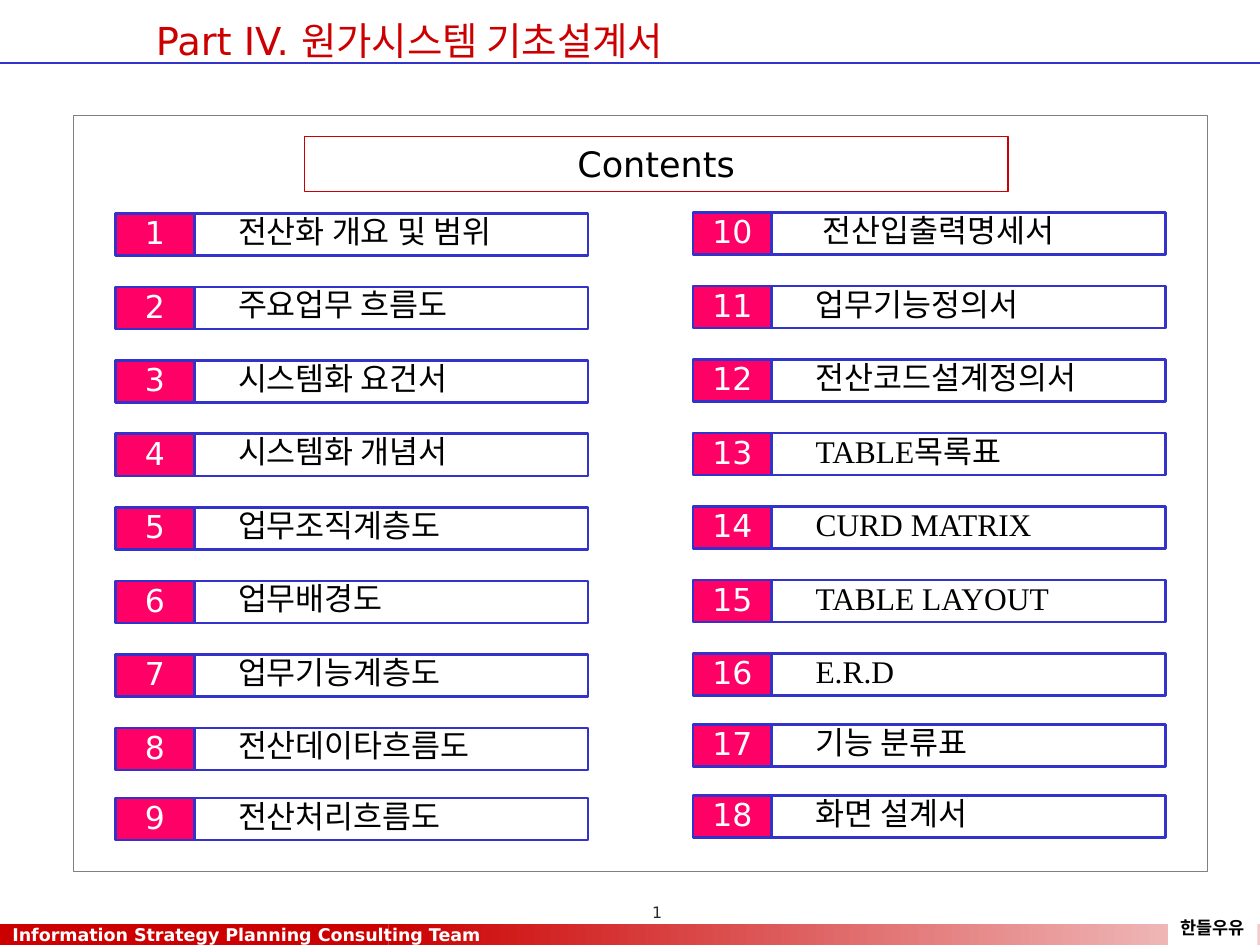
from lxml import etree
from pptx import Presentation
from pptx import util as u
from pptx.dml.color import RGBColor
from pptx.enum import shapes, text
from pptx.oxml import ns

RED = RGBColor(0xCC, 0x00, 0x00)
ROSE = RGBColor(0xF3, 0xCB, 0xCB)
PINK = RGBColor(0xFF, 0x00, 0x66)
BLUE = RGBColor(0x33, 0x33, 0xCC)
GREY = RGBColor(0x80, 0x80, 0x80)
DARK = RGBColor(0x29, 0x29, 0x29)
BLACK = RGBColor(0x00, 0x00, 0x00)
WHITE = RGBColor(0xFF, 0xFF, 0xFF)

SANS = "DejaVu Sans"
SERIF = "Times New Roman"
HANGUL = "Noto Sans CJK KR"
RECT = shapes.MSO_SHAPE.RECTANGLE
ROUND = shapes.MSO_SHAPE.ROUNDED_RECTANGLE
LEFT, MID = text.PP_ALIGN.LEFT, text.PP_ALIGN.CENTER
TOP, CENTER = text.MSO_ANCHOR.TOP, text.MSO_ANCHOR.MIDDLE
GROW = text.MSO_AUTO_SIZE.SHAPE_TO_FIT_TEXT

STEP = 42
LISTS = (
    (66, [121.9 + STEP * i for i in range(8)] + [456],
     ("전산화 개요 및 범위", "주요업무 흐름도", "시스템화 요건서", "시스템화 개념서",
      "업무조직계층도", "업무배경도", "업무기능계층도", "전산데이타흐름도", "전산처리흐름도")),
    (396, [121.5 + STEP * i for i in range(7)] + [414, 454.5],
     (" 전산입출력명세서", "업무기능정의서", "전산코드설계정의서", "TABLE목록표",
      "CURD MATRIX", "TABLE LAYOUT", "E.R.D", "기능 분류표", "화면 설계서")),
)


class Deck:
    """Holds the text style and the slide being filled."""

    def __init__(self, show):
        self.slide = show.slides.add_slide(show.slide_layouts[5])
        self.font = {"name": SANS, "size": u.Pt(18), "bold": False}
        self.frame = {"margin_left": u.Pt(7.2), "margin_right": u.Pt(7.2),
                      "margin_top": u.Pt(3.6), "margin_bottom": u.Pt(3.6),
                      "vertical_anchor": CENTER, "word_wrap": False}

    def put(self, shape, words, color, align=LEFT, space=1.0, font=None, frame=None):
        body = shape.text_frame
        for key, val in {**self.frame, **(frame or {})}.items():
            setattr(body, key, val)
        para = body.paragraphs[0]
        para.alignment, para.line_spacing = align, space
        run = para.add_run()
        run.text = words
        for key, val in {**self.font, **(font or {})}.items():
            setattr(run.font, key, val)
        run.font.color.rgb = color
        east = etree.SubElement(run.font._element, ns.qn("a:ea"))
        east.set("typeface", HANGUL)

    def title(self, box, words, color, **style):
        shape = self.slide.shapes.title
        for key, val in zip(("left", "top", "width", "height"), box):
            setattr(shape, key, u.Pt(val))
        self.put(shape, words, color, **style)

    def box(self, box, fill=None, line=None, width=0.75, kind=RECT):
        shape = self.slide.shapes.add_shape(kind, *map(u.Pt, box))
        shape.shadow.inherit = False
        if kind == ROUND:
            shape.adjustments[0] = 0
        if fill is None:
            shape.fill.background()
        else:
            shape.fill.solid()
            shape.fill.fore_color.rgb = fill
        if line is None:
            shape.line.fill.background()
        else:
            shape.line.color.rgb = line
            shape.line.width = u.Pt(width)
        return shape

    def fade(self, box, *colors):
        fill = self.box(box).fill
        fill.gradient()
        fill.gradient_angle = 0
        for stop, color, place in zip(fill.gradient_stops, colors, (0, 1)):
            stop.color.rgb = color
            stop.position = place

    def rule(self, ends, color):
        line = self.slide.shapes.add_connector(
            shapes.MSO_CONNECTOR.STRAIGHT, *map(u.Pt, ends))
        line.line.color.rgb = color
        line.line.width = u.Pt(0.75)
        etree.SubElement(line._element.spPr, ns.qn("a:effectLst"))

    def label(self, box, words, color, **style):
        shape = self.slide.shapes.add_textbox(*map(u.Pt, box))
        self.put(shape, words, color, **style)

    def item(self, left, top, num, words):
        name = self.box((left + 42, top, 228, 24), WHITE, BLUE, 1.5, ROUND)
        face = HANGUL if num == 5 else SERIF
        self.put(name, words, BLACK, space=0.8, font={"name": face},
                 frame={"margin_left": u.Pt(28)})
        tag = self.box((left, top, 45, 24), PINK, BLUE, 1.5, ROUND)
        self.put(tag, str(num), WHITE, MID, 0.9)


def main():
    show = Presentation()
    show.slide_width, show.slide_height = u.Pt(720), u.Pt(540)
    deck = Deck(show)
    deck.title((72.5, 6, 323, 34), "Part IV. 원가시스템 기초설계서", RED, align=MID,
               font={"size": u.Pt(22)},
               frame={"vertical_anchor": TOP, "auto_size": GROW})
    deck.fade((222, 528, 498, 12), RED, ROSE)
    foot = deck.box((0, 528, 222, 12), RED)
    small = {"size": u.Pt(10), "bold": True}
    deck.put(foot, "Information Strategy Planning Consulting Team", WHITE, font=small)
    deck.rule((0, 36, 720, 36), BLUE)
    firm = deck.box((667.5, 520.5, 51, 19.5), WHITE)
    deck.put(firm, "한들우유", BLACK, MID, font={**small, "name": HANGUL},
             frame={"vertical_anchor": TOP, "auto_size": GROW})
    head = deck.box((174, 78, 402, 31.5), line=RED)
    deck.put(head, "Contents", BLACK, MID, font={"size": u.Pt(20)},
             frame={"vertical_anchor": TOP, "word_wrap": True, "auto_size": GROW})
    deck.box((42, 66, 648, 432), line=GREY)
    num = 0
    for left, tops, names in LISTS:
        for top, words in zip(tops, names):
            num += 1
            deck.item(left, top, num, words)
    deck.label((318, 512.5, 108, 18), "1", DARK, align=MID, font={"size": u.Pt(9)},
               frame={"margin_right": 0, "vertical_anchor": TOP, "word_wrap": True})
    show.save("out.pptx")


if __name__ == "__main__":
    main()
